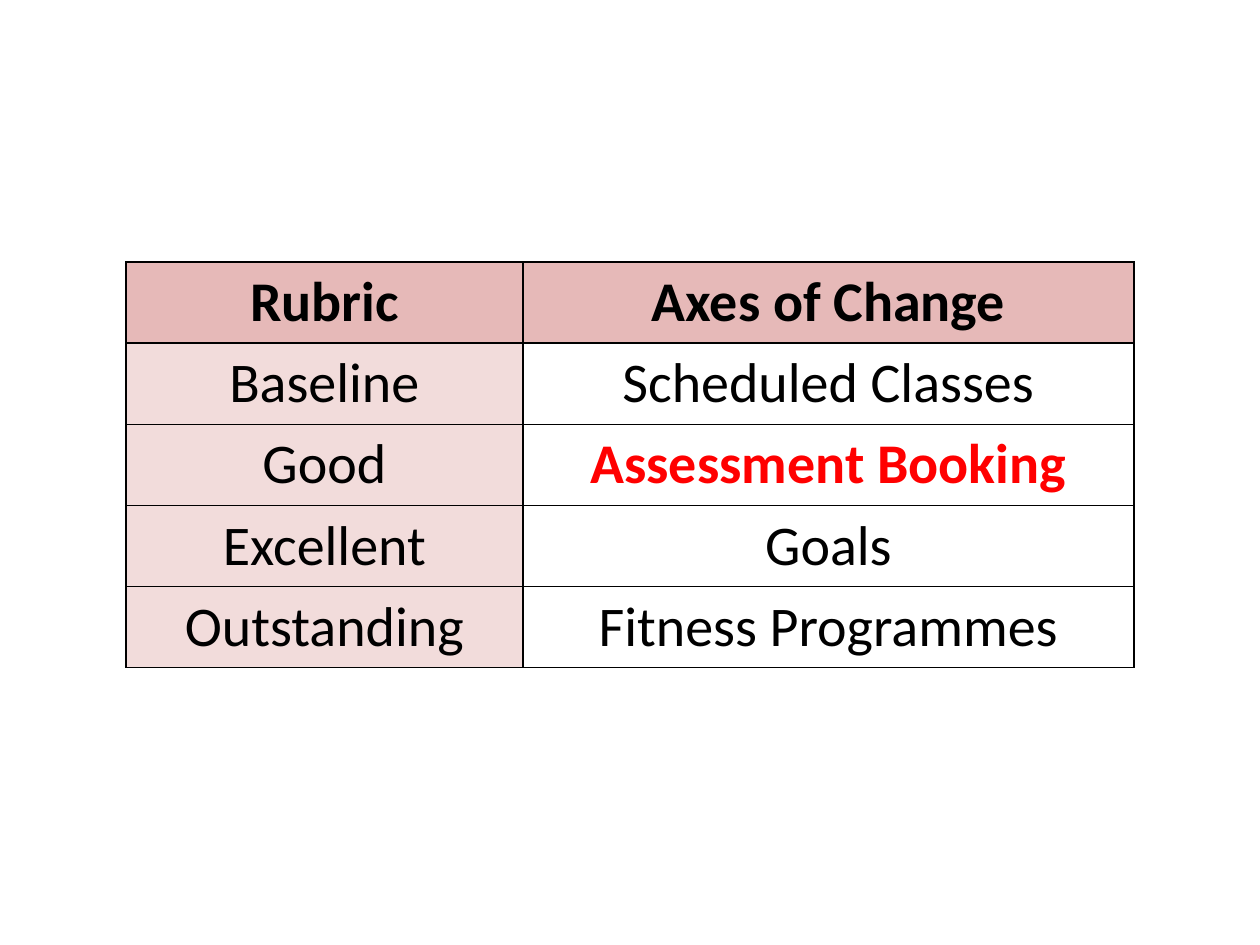
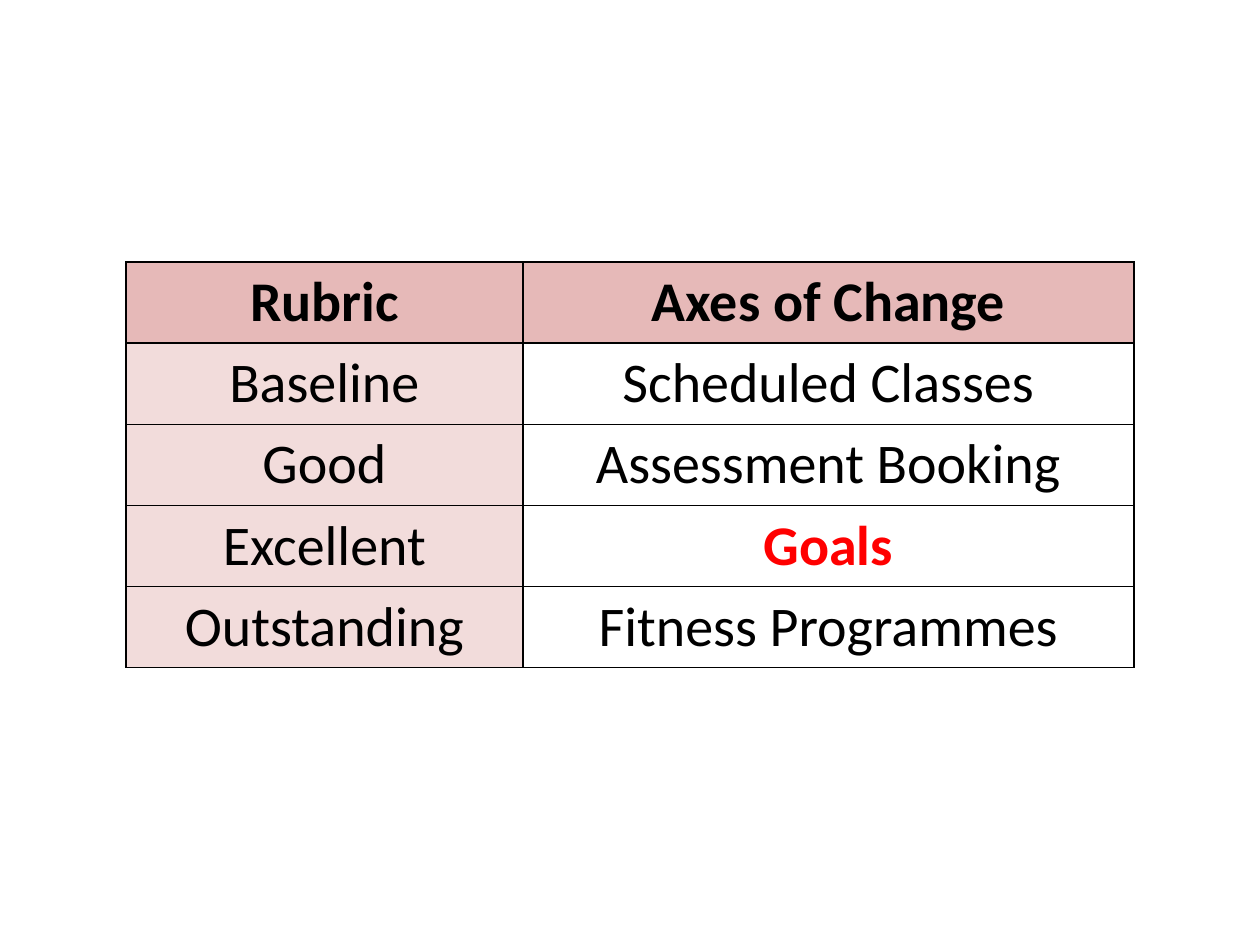
from lxml.etree import SubElement
from pptx import Presentation
from pptx.dml.color import RGBColor
from pptx.enum.text import PP_ALIGN
from pptx.oxml.ns import qn
from pptx.util import Inches, Pt

ROWS = [
    ("Rubric", "Axes of Change"),
    ("Baseline", "Scheduled Classes"),
    ("Good", "Assessment Booking"),
    ("Excellent", "Goals"),
    ("Outstanding", "Fitness Programmes"),
]
HIGHLIGHTS = ["Assessment Booking", "Goals"]  # one slide for each

FONT, TEXT_SIZE = "Calibri", 32
INK, ACCENT = "000000", "FF0000"
HEADER_FILL, LABEL_FILL = "E6B9B8", "F2DCDB"

SLIDE_W, SLIDE_H = 10, 7.5
LEFT, TOP, HEIGHT = 0.1 * SLIDE_W, 2.08, 3.17
COL_WIDTHS = (3.15, 4.85)


def color(value):
    """Turn a hex string into a colour."""
    return RGBColor.from_string(value)


def set_borders(cell):
    """Draw a thin line on all four sides of a cell."""
    tc_pr = cell._tc.get_or_add_tcPr()
    for side in ("lnL", "lnR", "lnT", "lnB"):
        line = SubElement(tc_pr, qn(f"a:{side}"), w=str(Pt(1)))
        fill = SubElement(line, qn("a:solidFill"))
        SubElement(fill, qn("a:srgbClr"), val=INK)


def set_fill(cell, value):
    """Fill a cell, or leave it clear when no colour is given."""
    if value:
        cell.fill.solid()
        cell.fill.fore_color.rgb = color(value)
    else:
        cell.fill.background()


def set_text(cell, text, ink, bold):
    """Write centred text into a cell."""
    cell.text = text
    p = cell.text_frame.paragraphs[0]
    p.alignment = PP_ALIGN.CENTER
    p.font.name, p.font.size, p.font.bold = FONT, Pt(TEXT_SIZE), bold
    p.font.color.rgb = color(ink)


def add_rubric(s, highlight):
    """Add the rubric table with one axis of change highlighted."""
    table = s.shapes.add_table(
        len(ROWS), len(COL_WIDTHS), Inches(LEFT), Inches(TOP),
        Inches(sum(COL_WIDTHS)), Inches(HEIGHT)).table
    for column, width in zip(table.columns, COL_WIDTHS):
        column.width = Inches(width)
    for i, row in enumerate(ROWS):
        for j, text in enumerate(row):
            cell = table.cell(i, j)
            marked = text == highlight
            set_borders(cell)
            set_fill(cell, HEADER_FILL if i == 0 else LABEL_FILL if j == 0 else None)
            set_text(cell, text, ACCENT if marked else INK, i == 0 or marked)


prs = Presentation()
prs.slide_width, prs.slide_height = Inches(SLIDE_W), Inches(SLIDE_H)
for highlight in HIGHLIGHTS:
    add_rubric(prs.slides.add_slide(prs.slide_layouts[6]), highlight)
prs.save("out.pptx")
